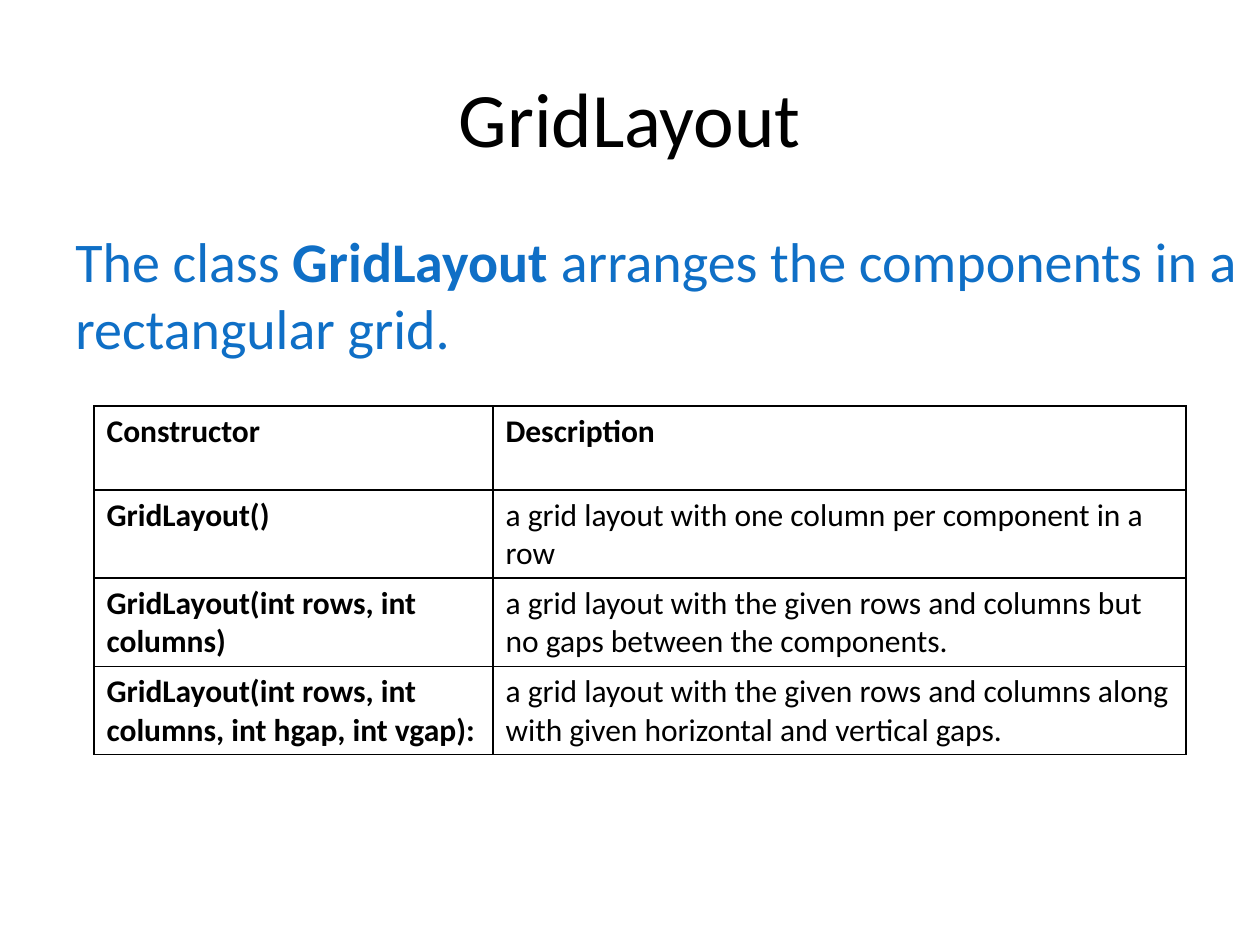
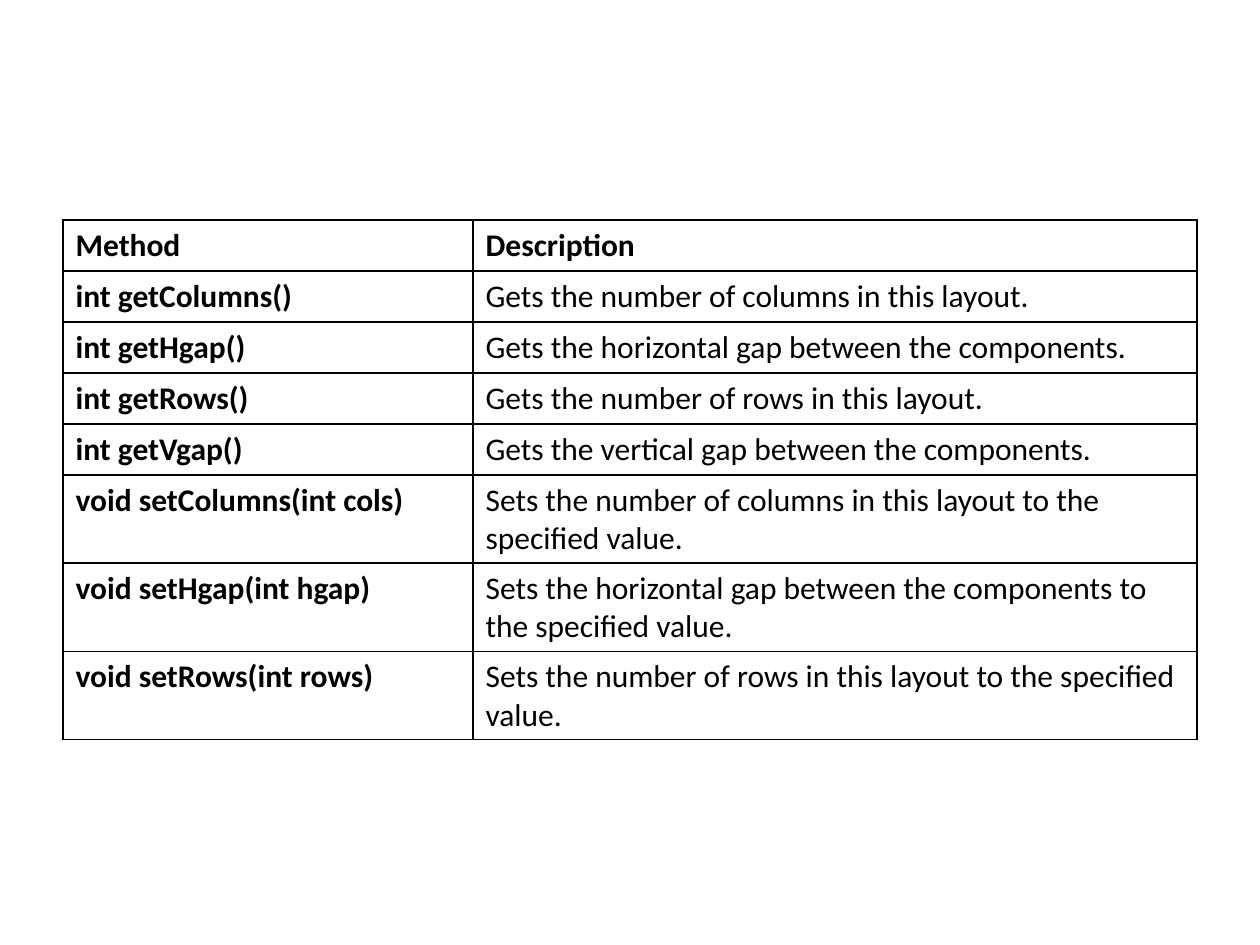
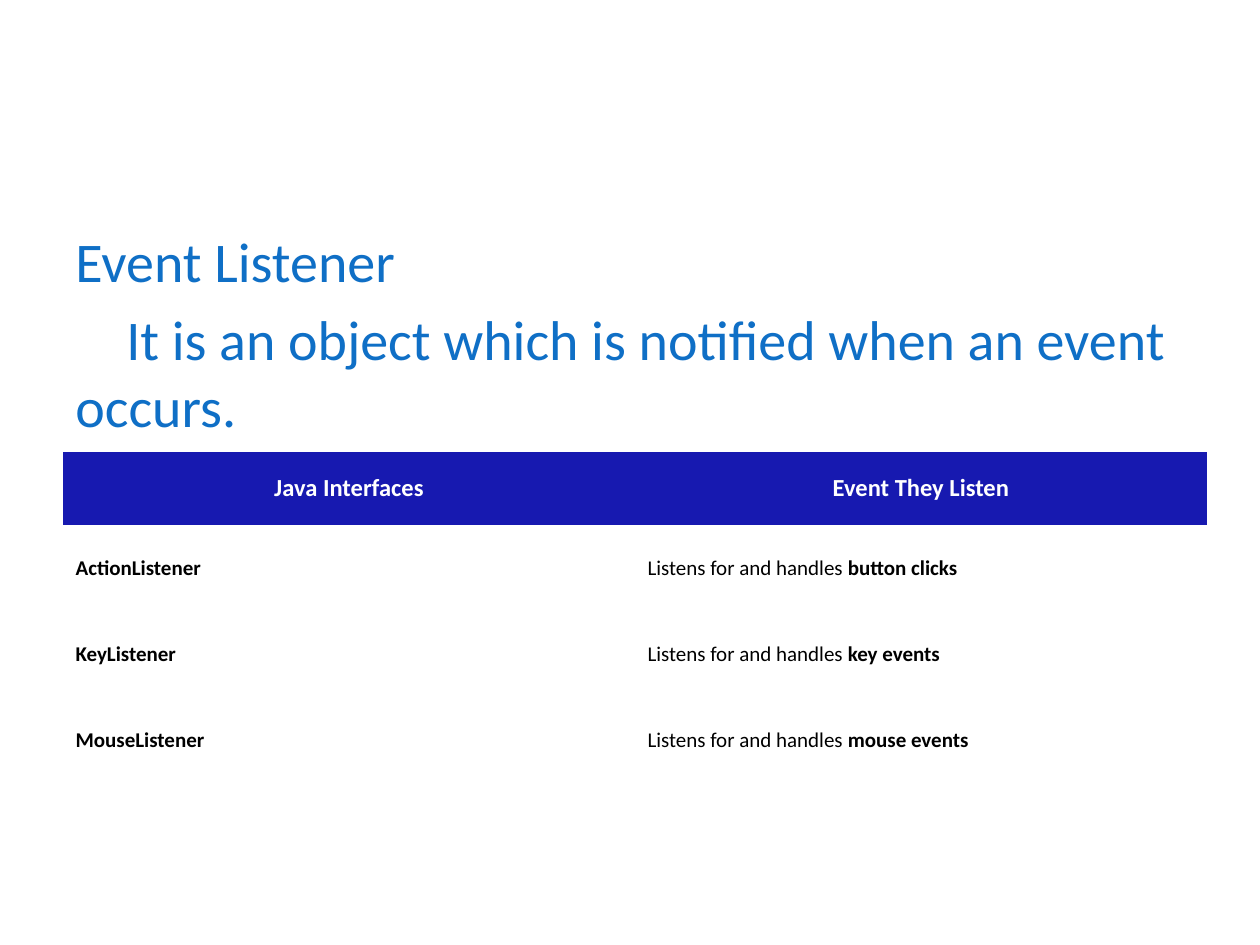
import dataclasses

import pptx
import pptx.dml.color
import pptx.enum.text
import pptx.oxml
import pptx.oxml.ns
import pptx.util

# Content: text between ** marks is bold
TITLE = "GridLayout"
INTRODUCTION = ["The class **GridLayout** arranges the components in a rectangular grid."]
LISTENER_TEXT = ["Event Listener", "It is an object which is notified when an event occurs."]

CONSTRUCTORS = [
    ("Constructor", "Description"),
    ("GridLayout()", "a grid layout with one column per component in a row"),
    ("GridLayout(int rows, int columns)",
     "a grid layout with the given rows and columns but no gaps between the components."),
    ("GridLayout(int rows, int columns, int hgap, int vgap):",
     "a grid layout with the given rows and columns along with given horizontal and vertical gaps."),
]
METHODS = [
    ("Method", "Description"),
    ("int getColumns()", "Gets the number of columns in this layout."),
    ("int getHgap()", "Gets the horizontal gap between the components."),
    ("int getRows()", "Gets the number of rows in this layout."),
    ("int getVgap()", "Gets the vertical gap between the components."),
    ("void setColumns(int cols)",
     "Sets the number of columns in this layout to the specified value."),
    ("void setHgap(int hgap)",
     "Sets the horizontal gap between the components to the specified value."),
    ("void setRows(int rows)",
     "Sets the number of rows in this layout to the specified value."),
]
LISTENERS = [
    ("Java Interfaces", "Event They Listen"),
    ("ActionListener", "Listens for and handles **button clicks**"),
    ("KeyListener", "Listens for and handles **key events**"),
    ("MouseListener", "Listens for and handles **mouse events**"),
]


@dataclasses.dataclass(frozen=True)
class Theme:
    font: str = "Calibri"
    ink: str = "000000"
    accent: str = "0F6FC6"
    header_fill: str = "1719B0"
    header_ink: str = "FFFFFF"
    title_size: int = 44
    body_size: int = 32
    grid_size: int = 18
    header_size: int = 14
    listener_size: int = 12
    paragraph_gap: float = 6.4
    border_width: int = 1


THEME = Theme()
PAGE_WIDTH, PAGE_HEIGHT = 1260, 945
MARGIN, BODY_TOP, BODY_HEIGHT = 63, 220, 624
FIRST_LINE_INDENT = 51
PLAIN_TABLE_STYLE = "{2D5ABB26-0587-4C30-8999-92F81FD0307C}"
MIDDLE = pptx.enum.text.MSO_ANCHOR.MIDDLE
TOP = pptx.enum.text.MSO_ANCHOR.TOP
CENTER = pptx.enum.text.PP_ALIGN.CENTER
LEFT = pptx.enum.text.PP_ALIGN.LEFT


def px(length):
    return pptx.util.Emu(round(length * 914400 / 126))


def color(value):
    return pptx.dml.color.RGBColor.from_string(value)


# Text
def write(para, text, size, ink, bold=False, align=LEFT):
    para.alignment = align
    for index, part in enumerate(text.split("**")):
        if part:
            span = para.add_run()
            span.text = part
            span.font.name = THEME.font
            span.font.size = pptx.util.Pt(size)
            span.font.bold = bold or index % 2 == 1
            span.font.color.rgb = color(ink)


def add_text_box(page, left, top, width, height):
    box = page.shapes.add_textbox(px(left), px(top), px(width), px(height))
    box.text_frame.word_wrap = True
    return box.text_frame


def add_title(page, text):
    frame = add_text_box(page, MARGIN, 38, PAGE_WIDTH - 2 * MARGIN, 157)
    frame.vertical_anchor = MIDDLE
    write(frame.paragraphs[0], text, THEME.title_size, THEME.ink, align=CENTER)


def add_body(page, texts, width):
    frame = add_text_box(page, MARGIN, BODY_TOP, width, BODY_HEIGHT)
    for index, text in enumerate(texts):
        para = frame.add_paragraph() if index else frame.paragraphs[0]
        if index:
            para.space_before = pptx.util.Pt(THEME.paragraph_gap)
            para._p.get_or_add_pPr().set("indent", str(px(FIRST_LINE_INDENT)))
        write(para, text, THEME.body_size, THEME.accent)


# Tables
def add_borders(cell):
    properties = cell._tc.get_or_add_tcPr()
    width = pptx.util.Pt(THEME.border_width)
    for side in ("lnL", "lnR", "lnT", "lnB"):
        properties.append(pptx.oxml.parse_xml(
            f'<a:{side} {pptx.oxml.ns.nsdecls("a")} w="{width}"><a:solidFill>'
            f'<a:srgbClr val="{THEME.ink}"/></a:solidFill></a:{side}>'))


def add_table(page, rows, left, top, column_widths, row_heights, banner=False):
    table = page.shapes.add_table(
        len(rows), len(column_widths), px(left), px(top),
        px(sum(column_widths)), px(sum(row_heights))).table
    table.first_row = table.horz_banding = False
    table._tbl.tblPr.find(pptx.oxml.ns.qn("a:tableStyleId")).text = PLAIN_TABLE_STYLE
    for column, width in zip(table.columns, column_widths):
        column.width = px(width)
    for row, height in zip(table.rows, row_heights):
        row.height = px(height)

    for row_index, texts in enumerate(rows):
        is_header = row_index == 0
        for column_index, text in enumerate(texts):
            cell = table.cell(row_index, column_index)
            size, ink, align = THEME.grid_size, THEME.ink, LEFT
            cell.vertical_anchor = MIDDLE if banner else TOP
            if banner:
                size = THEME.listener_size
            else:
                add_borders(cell)
            if banner and is_header:
                size, ink, align = THEME.header_size, THEME.header_ink, CENTER
                cell.fill.solid()
                cell.fill.fore_color.rgb = color(THEME.header_fill)
            else:
                cell.fill.background()
            write(cell.text_frame.paragraphs[0], text, size, ink,
                  bold=is_header or column_index == 0, align=align)


def main():
    deck = pptx.Presentation()
    deck.slide_width, deck.slide_height = px(PAGE_WIDTH), px(PAGE_HEIGHT)
    constructor_page, method_page, listener_page = [
        deck.slides.add_slide(deck.slide_layouts[6]) for _ in range(3)]

    # Constructors
    add_title(constructor_page, TITLE)
    add_body(constructor_page, INTRODUCTION, 1218)
    add_table(constructor_page, CONSTRUCTORS, 94, 406, [399, 693], [84] * len(CONSTRUCTORS))

    # Methods
    add_table(method_page, METHODS, MARGIN, BODY_TOP, [410, 724], [51] * len(METHODS))

    # Event listeners
    add_body(listener_page, LISTENER_TEXT, PAGE_WIDTH - 2 * MARGIN)
    add_table(listener_page, LISTENERS, MARGIN, 452, [572, 572],
              [73] + [86] * (len(LISTENERS) - 1), banner=True)

    deck.save("out.pptx")


if __name__ == "__main__":
    main()
